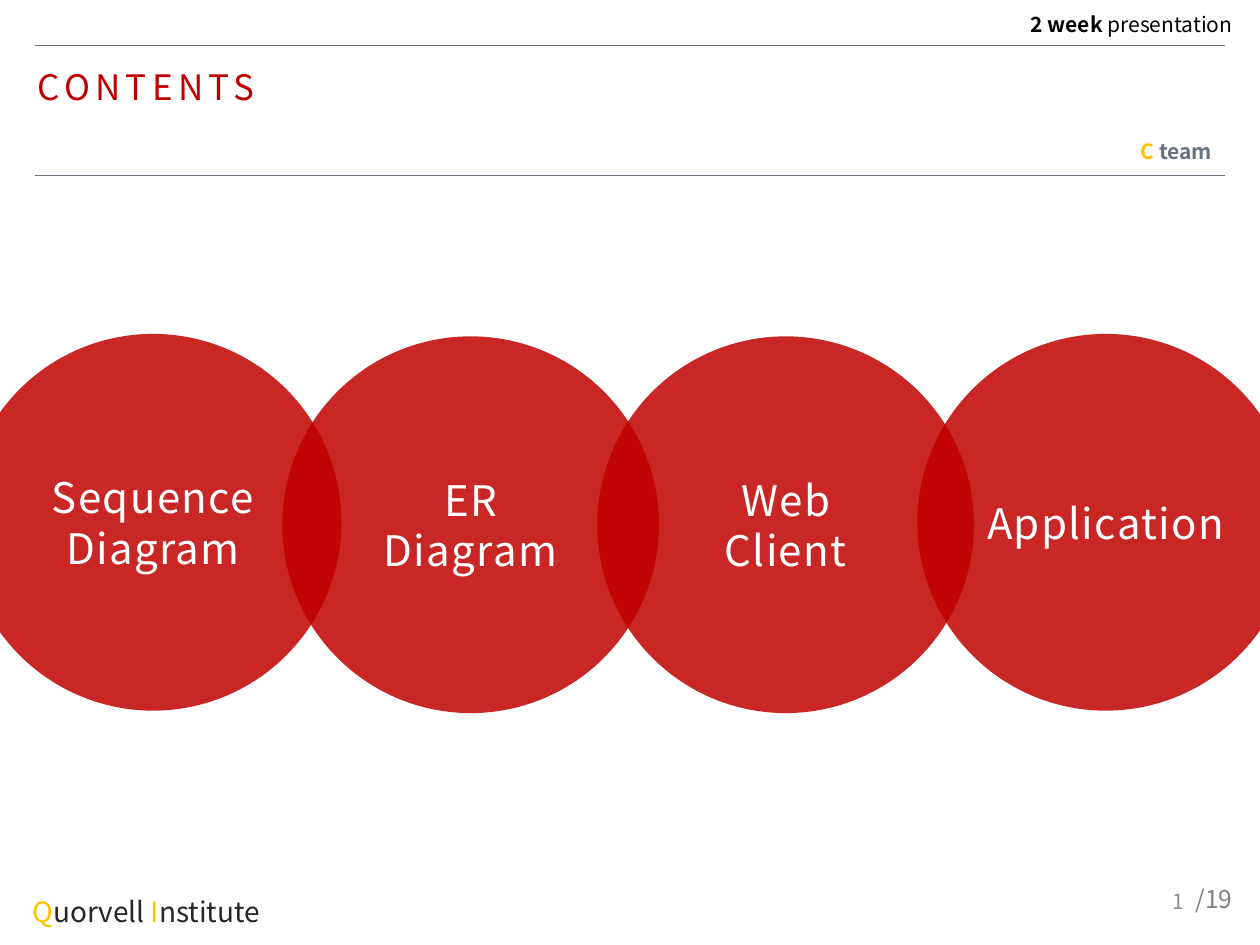
from pptx import Presentation
from pptx.dml.color import RGBColor
from pptx.enum.shapes import MSO_CONNECTOR as Conn, MSO_SHAPE as Geom
from pptx.enum.text import MSO_ANCHOR as Anchor, MSO_AUTO_SIZE as Fit, PP_ALIGN as Align
from pptx.oxml.ns import qn
from pptx.util import Pt
from lxml.etree import SubElement

RED = RGBColor(0xC0, 0x00, 0x00)
GOLD = RGBColor(0xFF, 0xC0, 0x00)
SLATE = RGBColor(0x68, 0x72, 0x7E)
DARK = RGBColor(0x26, 0x26, 0x26)
BLACK = RGBColor(0x00, 0x00, 0x00)
WHITE = RGBColor(0xFF, 0xFF, 0xFF)
GRAY = RGBColor(0x80, 0x80, 0x80)
PALE = RGBColor(0x8C, 0x8C, 0x8C)


class Deck:
    font = "Noto Sans CJK KR"

    def __init__(self, wide, high):
        self.prs = Presentation()
        self.prs.slide_width, self.prs.slide_height = Pt(wide), Pt(high)
        self.slide = self.prs.slides.add_slide(self.prs.slide_layouts[6])

    def run(self, para, text, size, color, bold=False, track=0):
        run = para.add_run()
        run.text = text
        font = run.font
        font.name, font.size, font.bold = self.font, Pt(size), bold
        font.color.rgb = color
        if track:
            run._r.get_or_add_rPr().set("spc", str(int(track * 100)))

    def rule(self, left, right, y):
        line = self.slide.shapes.add_connector(Conn.STRAIGHT, Pt(left), Pt(y), Pt(right), Pt(y))
        line.line.color.rgb = SLATE
        line.line.width = Pt(0.25)
        SubElement(line._element.spPr, qn("a:effectLst"))

    def label(self, area, size, parts, align=Align.LEFT, space=1.0, track=0,
              anchor=Anchor.TOP, fit=Fit.SHAPE_TO_FIT_TEXT):
        box = self.slide.shapes.add_textbox(*map(Pt, area))
        frame = box.text_frame
        frame.word_wrap = True
        frame.auto_size = fit
        frame.vertical_anchor = anchor
        para = frame.paragraphs[0]
        para.alignment, para.line_spacing = align, space
        for text, color, bold in parts:
            self.run(para, text, size, color, bold, track)

    def disc(self, left, top, side, lines):
        disc = self.slide.shapes.add_shape(Geom.OVAL, Pt(left), Pt(top), Pt(side), Pt(side))
        disc.shadow.inherit = False
        disc.line.fill.background()
        disc.fill.solid()
        disc.fill.fore_color.rgb = RED
        tint = disc._element.spPr.find(qn("a:solidFill"))[0]
        SubElement(tint, qn("a:alpha")).set("val", "85000")
        frame = disc.text_frame
        frame.word_wrap = True
        frame.margin_left = frame.margin_right = 0
        frame.vertical_anchor = Anchor.MIDDLE
        for i, text in enumerate(lines):
            para = frame.add_paragraph() if i else frame.paragraphs[0]
            para.alignment = Align.CENTER
            self.run(para, text, 24, WHITE, track=0.8)

    def save(self):
        self.prs.save("out.pptx")


def main():
    deck = Deck(720, 540)
    for y in (26, 100):
        deck.rule(20, 700, y)
    deck.label((14.4, 36.7, 175.7, 28.8), 20, [("CONTENTS", RED, False)], space=0.9, track=3)

    topics = [
        (-20.2, 190.8, ["Sequence", "Diagram"]),
        (161.3, 192.2, ["ER", "Diagram"]),
        (341.3, 192.2, ["Web", "Client"]),
        (524.2, 190.8, ["Application"]),
    ]
    for left, top, lines in topics:
        deck.disc(left, top, 215.3, lines)

    deck.label((11.5, 498.2, 318.2, 33.1), 16,
               [("Q", GOLD, False), ("uorvell ", DARK, False),
                ("I", GOLD, False), ("nstitute", DARK, False)], space=1.5)
    heads = [
        (563.8, 5.8, [("2 week ", BLACK, True), ("presentation", BLACK, False)]),
        (552.2, 78.5, [("C", GOLD, True), (" team", SLATE, True)]),
    ]
    for left, top, parts in heads:
        deck.label((left, top, 147.6, 18.7), 12, parts, Align.RIGHT, 0.8)
    deck.label((516.2, 500.4, 167.8, 28.8), 12, [("1", PALE, False)], Align.RIGHT,
               anchor=Anchor.MIDDLE, fit=Fit.NONE)
    deck.label((676.1, 501.8, 50.4, 24.5), 14, [("/19", GRAY, False)])
    deck.save()


if __name__ == "__main__":
    main()
